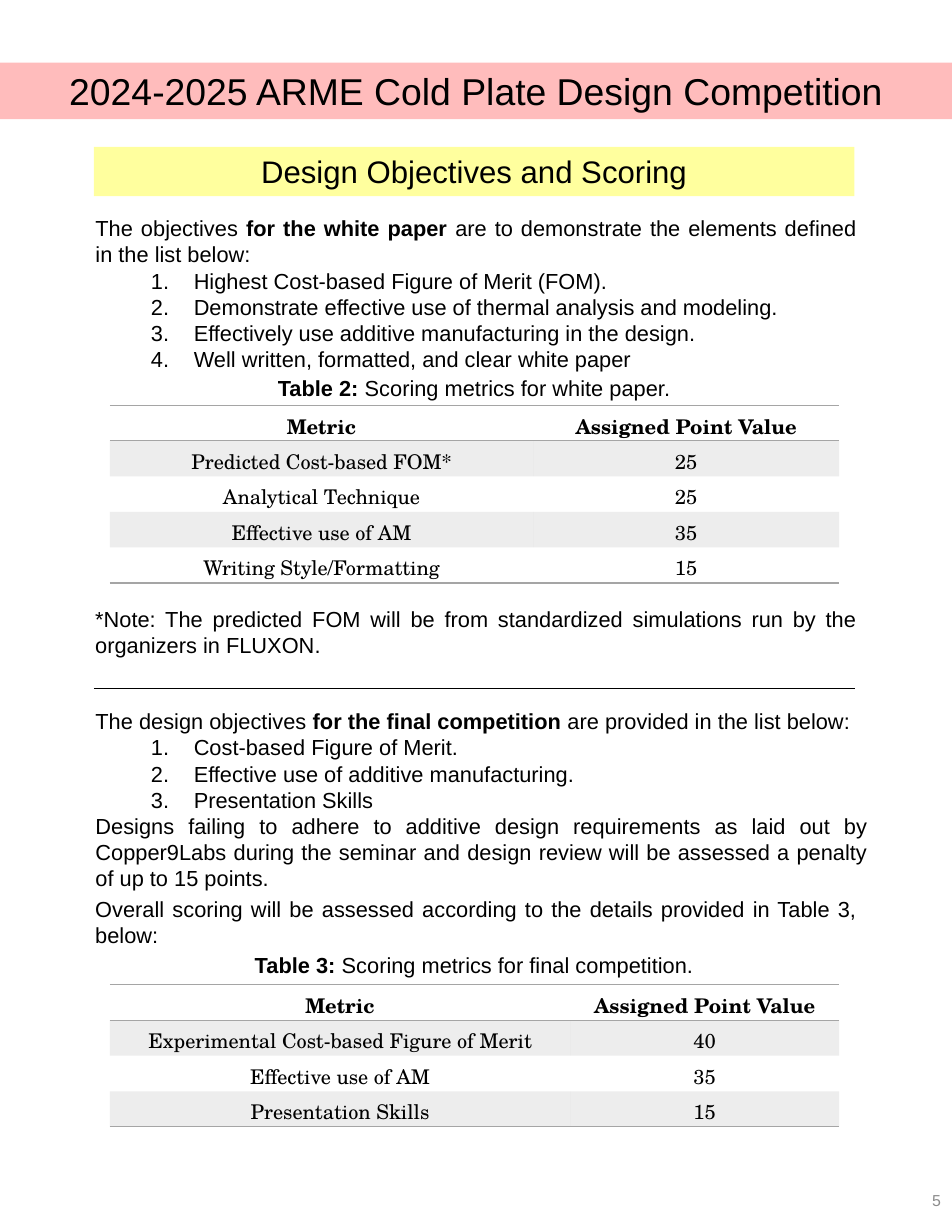
from lxml.etree import SubElement
from pptx import Presentation
from pptx.dml.color import RGBColor
from pptx.enum.shapes import MSO_CONNECTOR, MSO_SHAPE
from pptx.enum.text import MSO_ANCHOR, MSO_AUTO_SIZE, PP_ALIGN
from pptx.oxml.ns import qn
from pptx.util import Cm, Pt

COLORS = {"black": "000000", "red": "FF5050", "yellow": "FFFF00",
          "gray": "A5A5A5", "number": "8C8C8C"}
LEFT, WIDTH = 2.13, 17.25
TEXT_INDENT, LIST_INDENT, HANGING = 1.91, 4.14, -0.97


def write(shape, paragraphs, size=14, align=PP_ALIGN.CENTER, color="black",
          anchor=MSO_ANCHOR.TOP, font="Arial"):
    """Fill a shape or cell; each paragraph is (style, (text, bold), ...)."""
    frame = shape.text_frame
    frame.word_wrap = True
    shape_or_frame = frame if hasattr(shape, "text_frame") and hasattr(shape, "shape_id") else shape
    shape_or_frame.vertical_anchor = anchor
    for index, (style, *runs) in enumerate(paragraphs):
        paragraph = frame.add_paragraph() if index else frame.paragraphs[0]
        paragraph.alignment = align
        paragraph.space_before = Pt(0)
        properties = paragraph._p.get_or_add_pPr()
        margin = {"plain": 0, "text": TEXT_INDENT, "list": LIST_INDENT}[style]
        properties.set("marL", str(Cm(margin)))
        properties.set("indent", str(Cm(HANGING if style == "list" else 0)))
        if style == "list":
            SubElement(properties, qn("a:buFont"), typeface="+mj-lt")
            SubElement(properties, qn("a:buAutoNum"), type="arabicPeriod")
        else:
            SubElement(properties, qn("a:buNone"))
        for text, bold in runs:
            run = paragraph.add_run()
            run.text = text
            run.font.name, run.font.size, run.font.bold = font, Pt(size), bold
            run.font.color.rgb = RGBColor.from_string(COLORS[color])


def tint(fill, properties, color, percent):
    """Give a translucent solid fill."""
    fill.solid()
    fill.fore_color.rgb = RGBColor.from_string(COLORS[color])
    rgb = properties.find(qn("a:solidFill")).find(qn("a:srgbClr"))
    SubElement(rgb, qn("a:alpha"), val=str(percent * 1000))


presentation = Presentation()
presentation.slide_width, presentation.slide_height = Cm(21.59), Cm(27.94)
slide = presentation.slides.add_slide(presentation.slide_layouts[3])
title, paper_body, final_body = slide.placeholders

# Title banner and section heading
heading = slide.shapes.add_shape(MSO_SHAPE.RECTANGLE, Cm(LEFT), Cm(3.33), Cm(WIDTH), Cm(1.12))
heading.shadow.inherit = False
heading.line.fill.background()
title.left, title.top, title.width, title.height = Cm(0), Cm(1.42), Cm(21.59), Cm(1.28)
for shape, text, size, color in [
    (title, "2024-2025 ARME Cold Plate Design Competition", 24, "red"),
    (heading, "Design Objectives and Scoring", 20, "yellow"),
]:
    tint(shape.fill, shape.element.spPr, color, 38)
    write(shape, [("plain", (text, False))], size, anchor=MSO_ANCHOR.MIDDLE)
    shape.text_frame.auto_size = MSO_AUTO_SIZE.NONE

# Objectives with numbered lists
bodies = [
    (paper_body, 4.75, 19.69, 4.2,
     [("The objectives ", False), ("for the white paper", True),
      (" are to demonstrate the elements defined in the list below:", False)],
     ["Highest Cost-based Figure of Merit (FOM).",
      "Demonstrate effective use of thermal analysis and modeling.",
      "Effectively use additive manufacturing in the design.",
      "Well written, formatted, and clear white paper"],
     []),
    (final_body, 15.93, 19.94, 4.45,
     [("The design objectives ", False), ("for the final competition ", True),
      ("are provided in the list below:", False)],
     ["Cost-based Figure of Merit.",
      "Effective use of additive manufacturing.",
      "Presentation Skills"],
     ["Designs failing to adhere to additive design requirements as laid out by "
      "Copper9Labs during the seminar and design review will be assessed a penalty "
      "of up to 15 points."]),
]
for body, top, width, height, intro, items, closing in bodies:
    body.left, body.top, body.width, body.height = Cm(0), Cm(top), Cm(width), Cm(height)
    paragraphs = [("text", *intro)]
    paragraphs += [("list", (item, False)) for item in items]
    paragraphs += [("text", (text, False)) for text in closing]
    write(body, paragraphs, align=PP_ALIGN.JUSTIFY)
    body.text_frame.auto_size = MSO_AUTO_SIZE.NONE

# Notes and table captions
notes = [
    (13.61, "*Note: The predicted FOM will be from standardized simulations run by "
            "the organizers in FLUXON."),
    (20.19, "Overall scoring will be assessed according to the details provided in "
            "Table 3, below:"),
]
for top, text in notes:
    box = slide.shapes.add_textbox(Cm(0), Cm(top), Cm(19.69), Cm(1.45))
    write(box, [("text", (text, False))], align=PP_ALIGN.JUSTIFY)

captions = [
    (8.38, "Table 2:", " Scoring metrics for white paper."),
    (21.46, "Table 3:", " Scoring metrics for final competition."),
]
for top, label, text in captions:
    box = slide.shapes.add_textbox(Cm(LEFT), Cm(top), Cm(WIDTH), Cm(0.86))
    write(box, [("plain", (label, True), (text, False))])

# Scoring tables
header = ("Metric", "Assigned Point Value")
tables = [
    (9.19, (9.6, 6.94), [header, ("Predicted Cost-based FOM*", "25"),
                         ("Analytical Technique", "25"), ("Effective use of AM", "35"),
                         ("Writing Style/Formatting", "15")]),
    (22.33, (10.44, 6.1), [header, ("Experimental Cost-based Figure of Merit", "40"),
                           ("Effective use of AM", "35"), ("Presentation Skills", "15")]),
]
for top, widths, rows in tables:
    frame = slide.shapes.add_table(len(rows), 2, Cm(2.49), Cm(top),
                                   Cm(sum(widths)), Cm(0.8 * len(rows)))
    table = frame.table
    table.first_row = table.horz_banding = False
    style = table._tbl.tblPr.find(qn("a:tableStyleId"))
    style.text = "{2D5ABB26-0587-4C30-8999-92F81FD0307C}"
    for column, width in zip(table.columns, widths):
        column.width = Cm(width)
    for row, values in enumerate(rows):
        edges = {0: ("a:lnT", "a:lnB"), len(rows) - 1: ("a:lnB",)}.get(row, ())
        for column, value in enumerate(values):
            cell = table.cell(row, column)
            write(cell, [("plain", (value, row == 0))], 13, font="TeX Gyre Schola")
            properties = cell._tc.get_or_add_tcPr()
            for edge in edges:
                line = SubElement(properties, qn(edge), w=str(Pt(1)))
                fill = SubElement(line, qn("a:solidFill"))
                SubElement(fill, qn("a:srgbClr"), val=COLORS["gray"])
            if row % 2:
                tint(cell.fill, properties, "gray", 20)
            else:
                cell.fill.background()

# Divider
divider = slide.shapes.add_connector(MSO_CONNECTOR.STRAIGHT, Cm(LEFT), Cm(15.62),
                                     Cm(LEFT + WIDTH), Cm(15.62))
divider.line.color.rgb = RGBColor.from_string(COLORS["black"])
divider.line.width = Pt(0.5)
SubElement(divider.element.spPr, qn("a:effectLst"))

# Page number
page_number = slide.shapes.add_textbox(Cm(20.52), Cm(26.47), Cm(1.07), Cm(1.5))
write(page_number, [("plain", ("5", False))], 10.2, PP_ALIGN.RIGHT, "number", MSO_ANCHOR.MIDDLE)

presentation.save("out.pptx")
